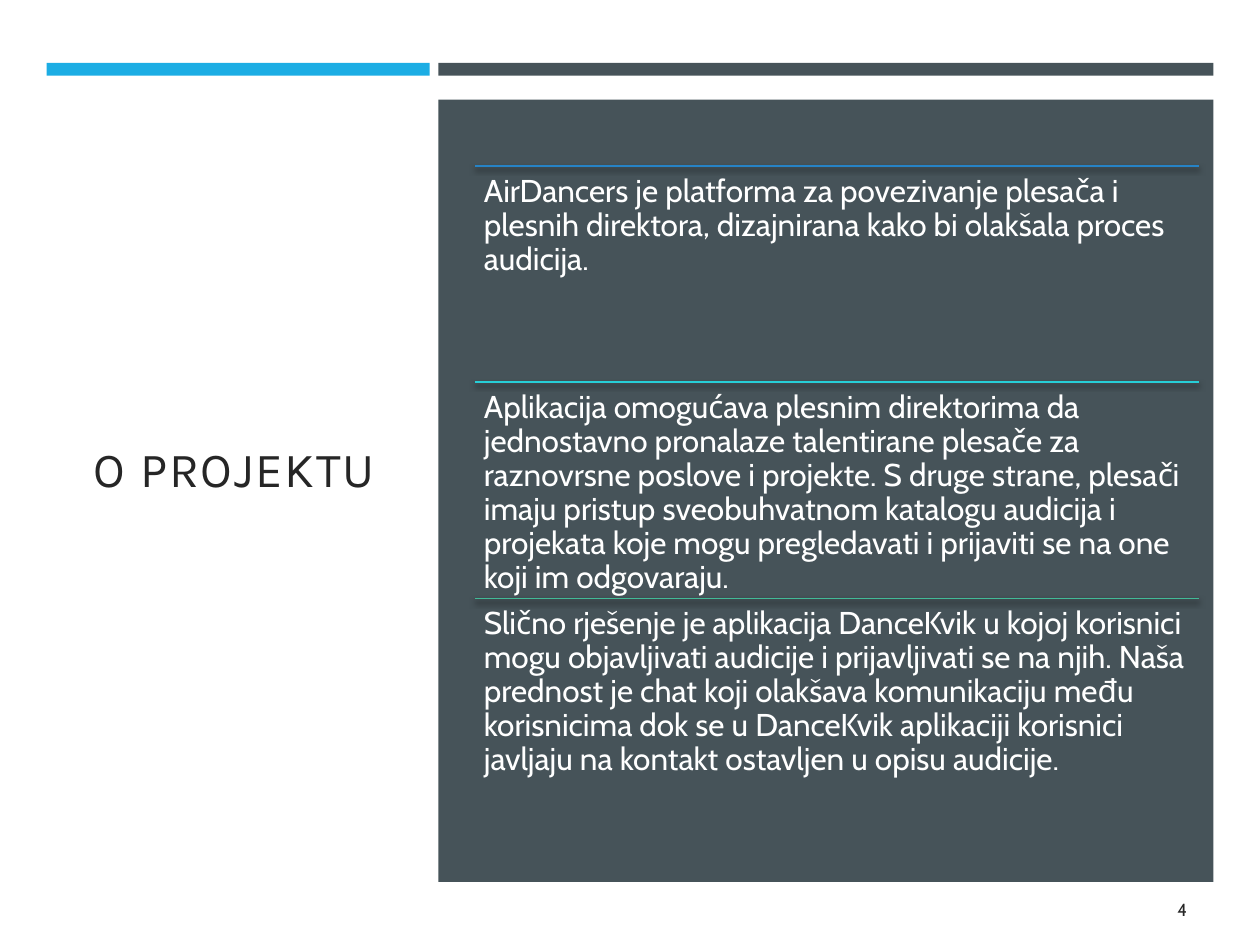
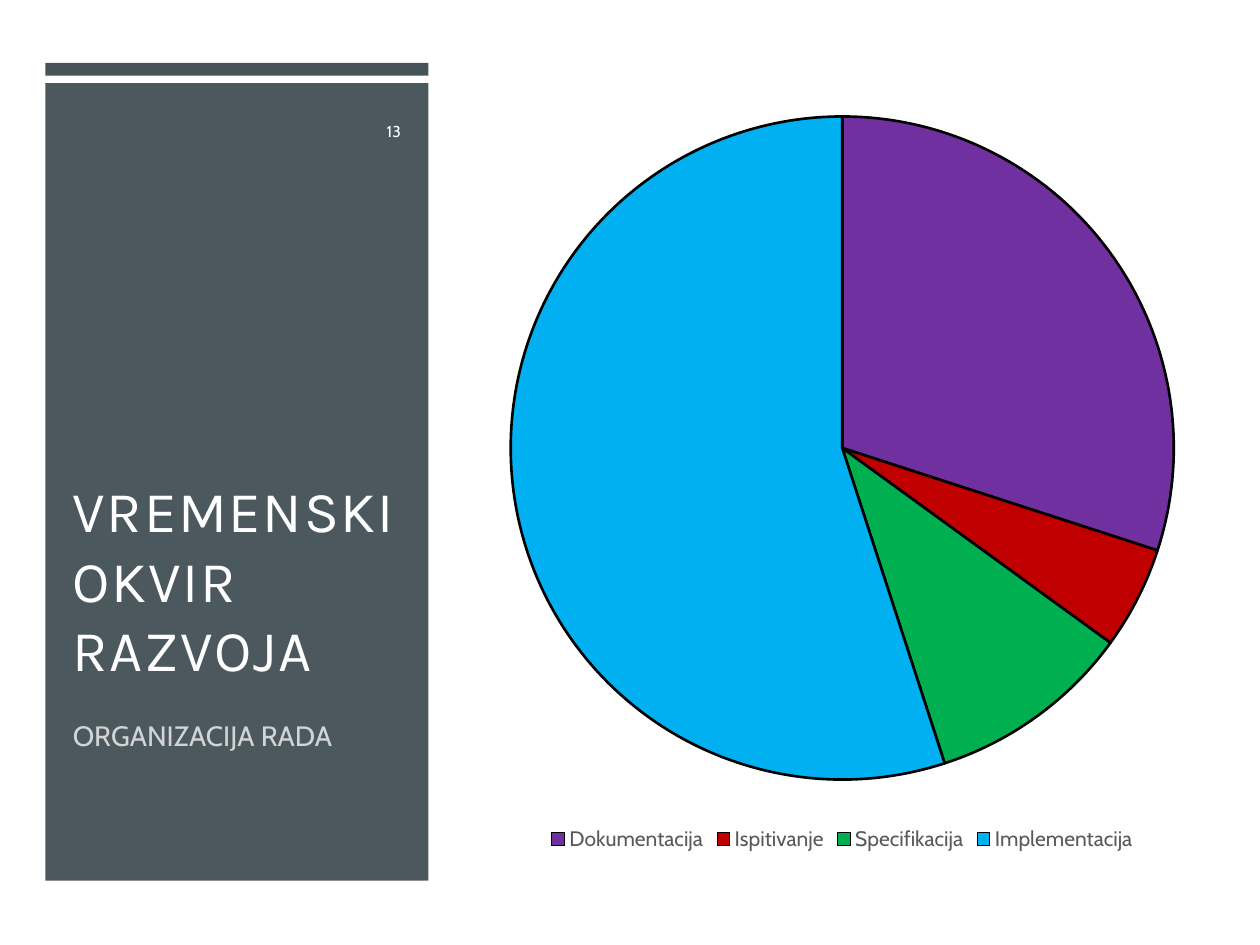
from lxml import etree
from pptx import Presentation
from pptx.chart.data import CategoryChartData
from pptx.dml.color import RGBColor
from pptx.enum import chart as ch, shapes as sh, text as tx
from pptx.oxml import parse_xml
from pptx.oxml.ns import nsdecls, qn
from pptx.util import Inches, Pt

HUES = {
    "white": "FFFFFF", "slate": "465359", "sky": "1CADE4", "ink": "262626",
    "blue": "2683C6", "aqua": "27CED7", "green": "42BA97", "gray": "595959",
    "black": "000000", "violet": "7030A0", "red": "C00000",
    "leaf": "00B050", "azure": "00B0F0",
}
HEAD, BODY = "Karla", "Cabin"
BAND_TOP, BAND_TALL = 0.5, 0.1

NOTES = [
    ("blue", "AirDancers je platforma za povezivanje plesača i plesnih direktora, "
             "dizajnirana kako bi olakšala proces audicija."),
    ("aqua", "Aplikacija omogućava plesnim direktorima da jednostavno pronalaze "
             "talentirane plesače za raznovrsne poslove i projekte. S druge strane, "
             "plesači imaju pristup sveobuhvatnom katalogu audicija i projekata koje "
             "mogu pregledavati i prijaviti se na one koji im odgovaraju."),
    ("green", "Slično rješenje je aplikacija DanceKvik u kojoj korisnici mogu "
              "objavljivati audicije i prijavljivati se na njih. Naša prednost je "
              "chat koji olakšava komunikaciju među korisnicima dok se u DanceKvik "
              "aplikaciji korisnici javljaju na kontakt ostavljen u opisu audicije."),
]
PARTS = [
    ("Dokumentacija", 30, "violet"), ("Ispitivanje", 5, "red"),
    ("Specifikacija", 10, "leaf"), ("Implementacija", 55, "azure"),
]


def hue(name):
    return RGBColor.from_string(HUES[name])


def fade(fill, pct):
    tint = fill._xPr.find(".//" + qn("a:srgbClr"))
    etree.SubElement(tint, qn("a:alpha"), val=str(pct * 1000))


def add_slide(deck):
    slide = deck.slides.add_slide(deck.slide_layouts[6])
    slide.background.fill.solid()
    slide.background.fill.fore_color.rgb = hue("white")
    return slide


def add_box(slide, x, y, w, h, name, alpha=None):
    box = slide.shapes.add_shape(
        sh.MSO_SHAPE.RECTANGLE, Inches(x), Inches(y), Inches(w), Inches(h))
    box.shadow.inherit = False
    box.fill.solid()
    box.fill.fore_color.rgb = hue(name)
    box.line.fill.background()
    if alpha:
        fade(box.fill, alpha)


def add_band(slide, x, w, name):
    add_box(slide, x, BAND_TOP, w, BAND_TALL, name)


def add_text(slide, x, y, w, h, words, size, name, font=BODY, side="LEFT",
             anchor="TOP", inset=None, lines=None, track=None, alpha=None):
    box = slide.shapes.add_textbox(Inches(x), Inches(y), Inches(w), Inches(h))
    frame = box.text_frame
    frame.word_wrap = True
    frame.vertical_anchor = getattr(tx.MSO_ANCHOR, anchor)
    if inset:
        frame.margin_left = frame.margin_right = Inches(inset)
        frame.margin_top = frame.margin_bottom = Inches(inset)
    para = frame.paragraphs[0]
    para.alignment = getattr(tx.PP_ALIGN, side)
    if lines:
        para.line_spacing = lines
    run = para.add_run()
    run.text = words
    run.font.name, run.font.size = font, Pt(size)
    run.font.color.rgb = hue(name)
    if track:
        run.font._element.set("spc", str(track))
    if alpha:
        fade(run.font.fill, alpha)


def add_title(slide, x, y, w, h, words, size, name, side, anchor):
    add_text(slide, x, y, w, h, words, size, name, HEAD, side, anchor, track=100)


def add_page(slide, x, y, w, num, size, name):
    add_text(slide, x, y, w, 0.4, num, size, name, side="RIGHT", anchor="MIDDLE")


def add_rule(slide, x, y, w, name):
    rule = slide.shapes.add_connector(
        sh.MSO_CONNECTOR.STRAIGHT, Inches(x), Inches(y), Inches(x + w), Inches(y))
    rule.line.color.rgb = hue(name)
    rule.line.width = Pt(1)
    rule._element.spPr.append(parse_xml(
        f'<a:effectLst {nsdecls("a")}><a:outerShdw blurRad="{Pt(3)}" dist="{Pt(2)}" '
        'dir="5400000" rotWithShape="0"><a:srgbClr val="000000">'
        '<a:alpha val="55000"/></a:srgbClr></a:outerShdw></a:effectLst>'))


def set_plot(chart, **sizes):
    area = chart._chartSpace.find(".//" + qn("c:plotArea"))
    for old in area.findall(qn("c:layout")):
        area.remove(old)
    rows = "".join(f'<c:{key} val="{val}"/>' for key, val in sizes.items())
    area.insert(0, parse_xml(
        f'<c:layout {nsdecls("c")}><c:manualLayout><c:layoutTarget val="inner"/>'
        f'<c:xMode val="edge"/><c:yMode val="edge"/>{rows}'
        '</c:manualLayout></c:layout>'))


def add_pie(slide, x, y, w, h, parts):
    data = CategoryChartData()
    data.categories = [part[0] for part in parts]
    data.add_series("Series 1", [part[1] for part in parts])
    chart = slide.shapes.add_chart(
        ch.XL_CHART_TYPE.PIE, Inches(x), Inches(y), Inches(w), Inches(h), data).chart
    chart.has_title = False
    chart.font.name, chart.font.size = BODY, Pt(10)
    chart.font.color.rgb = hue("black")
    chart.has_legend = True
    key = chart.legend
    key.position = ch.XL_LEGEND_POSITION.BOTTOM
    key.include_in_layout = False
    key.font.name, key.font.size = BODY, Pt(12)
    key.font.color.rgb = hue("gray")
    chart.plots[0].vary_by_categories = True
    for i, part in enumerate(parts):
        form = chart.plots[0].series[0].points[i].format
        form.fill.solid()
        form.fill.fore_color.rgb = hue(part[2])
        form.line.color.rgb = hue("black")
        form.line.width = Pt(1.5)
    set_plot(chart, x=0.02, y=0.04, w=0.96, h=0.86)


def make_about(deck):
    slide = add_slide(deck)
    add_title(slide, 0.61, 1.14, 2.5, 5.15, "O PROJEKTU", 28, "ink", "CENTER", "MIDDLE")
    add_band(slide, 0.37, 3.04, "sky")
    add_band(slide, 3.48, 6.15, "slate")
    add_box(slide, 3.48, 0.79, 6.15, 6.21, "slate")
    add_page(slide, 8.66, 7.02, 0.86, "4", 10, "ink")
    left, top, wide, step = 3.77, 1.32, 5.75, 1.715
    for i, (name, words) in enumerate(NOTES):
        y = top + i * step
        add_rule(slide, left, y, wide, name)
        add_text(slide, left, y, wide, step, words, 18, "white", inset=0.07, lines=0.9)


def make_plan(deck):
    slide = add_slide(deck)
    add_box(slide, 0.36, 0.66, 3.04, 6.33, "slate", 97)
    add_band(slide, 0.36, 3.04, "slate")
    add_title(slide, 0.48, 1.67, 2.8, 3.8, "VREMENSKI OKVIR RAZVOJA", 33, "white",
              "LEFT", "BOTTOM")
    add_text(slide, 0.48, 5.63, 2.8, 0.81, "ORGANIZACIJA RADA", 16, "white",
             lines=1.1, alpha=75)
    add_page(slide, 2.83, 0.84, 0.45, "13", 9, "white")
    add_pie(slide, 3.91, 0.68, 5.55, 6.12, PARTS)


def main():
    deck = Presentation()
    deck.slide_width, deck.slide_height = Inches(10), Inches(7.5)
    make_about(deck)
    make_plan(deck)
    deck.save("out.pptx")


if __name__ == "__main__":
    main()
